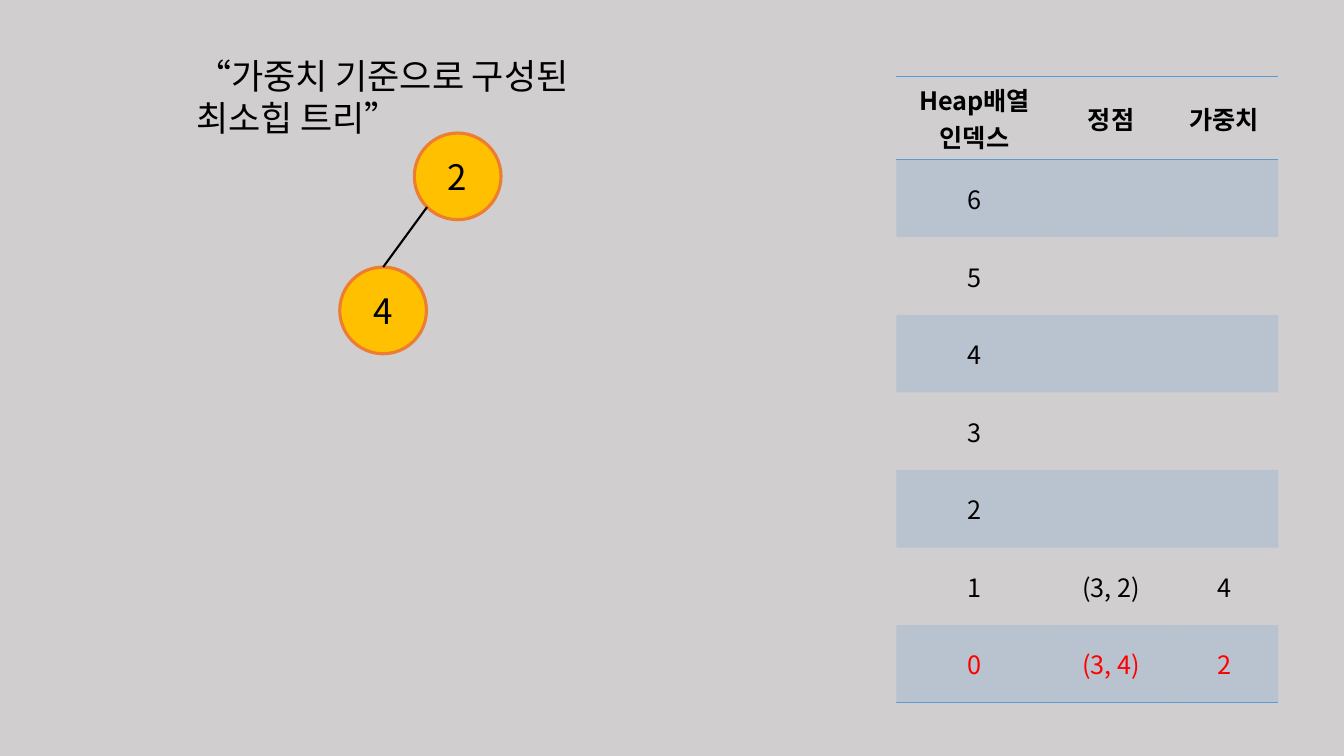
from dataclasses import dataclass
from math import sqrt

from lxml import etree
from pptx import Presentation
from pptx.dml.color import RGBColor
from pptx.enum.shapes import MSO_CONNECTOR, MSO_SHAPE
from pptx.enum.text import MSO_ANCHOR, PP_ALIGN
from pptx.oxml.ns import qn
from pptx.util import Inches, Pt

CENTER, LEFT = PP_ALIGN.CENTER, PP_ALIGN.LEFT
MIDDLE = MSO_ANCHOR.MIDDLE
OVAL, STRAIGHT = MSO_SHAPE.OVAL, MSO_CONNECTOR.STRAIGHT
PLAIN_TABLE = "{2D5ABB26-0587-4C30-8999-92F81FD0307C}"


@dataclass(frozen=True)
class Theme:
    font: str = "Noto Sans CJK KR"
    background: str = "D0CECE"
    text: str = "000000"
    highlight: str = "FF0000"
    table: str = "5B9BD5"
    node: str = "FFC000"
    node_line: str = "ED7D31"
    large: int = 25
    body: int = 18


THEME = Theme()
NODE_SIZE = 0.86
COLUMNS = [1.55, 1.16, 1.08]
HEADER_HEIGHT, ROW_HEIGHT = 0.72, 0.77
HEADER = ["Heap배열\n인덱스", "정점", "가중치"]
HEAP = {1: ["(3, 2)", "4"], 0: ["(3, 4)", "2"]}
ROWS = [HEADER] + [[str(i)] + HEAP.get(i, ["", ""]) for i in range(6, -1, -1)]


def rgb(color):
    return RGBColor.from_string(color)


def add_text(tf, text, size, align=CENTER, color=THEME.text, bold=False):
    for i, line in enumerate(text.split("\n")):
        p = tf.paragraphs[0] if i == 0 else tf.add_paragraph()
        p.alignment = align
        r = p.add_run()
        r.text = line
        r.font.name, r.font.size, r.font.bold = THEME.font, Pt(size), bold
        r.font.color.rgb = rgb(color)
        # East Asian text takes its own font setting
        ea = etree.SubElement(r.font._element, qn("a:ea"))
        ea.set("typeface", THEME.font)


def add_border(cell, side):
    ln = etree.SubElement(cell._tc.get_or_add_tcPr(), qn(f"a:{side}"), w=str(Pt(1)))
    fill = etree.SubElement(ln, qn("a:solidFill"))
    etree.SubElement(fill, qn("a:srgbClr"), val=THEME.table)


def fill_band(cell):
    cell.fill.solid()
    cell.fill.fore_color.rgb = rgb(THEME.table)
    color = cell._tc.tcPr.find(qn("a:solidFill")).find(qn("a:srgbClr"))
    etree.SubElement(color, qn("a:alpha"), val="20000")


def add_heap_table(s, x, y):
    height = HEADER_HEIGHT + ROW_HEIGHT * (len(ROWS) - 1)
    frame = s.shapes.add_table(len(ROWS), len(COLUMNS), Inches(x), Inches(y),
                               Inches(sum(COLUMNS)), Inches(height))
    table = frame.table
    table._tbl.tblPr.find(qn("a:tableStyleId")).text = PLAIN_TABLE
    table.horz_banding = False
    for column, width in zip(table.columns, COLUMNS):
        column.width = Inches(width)
    last = len(ROWS) - 1
    for i, values in enumerate(ROWS):
        table.rows[i].height = Inches(ROW_HEIGHT if i else HEADER_HEIGHT)
        for j, value in enumerate(values):
            cell = table.cell(i, j)
            cell.vertical_anchor = MIDDLE
            # Rules above and below the header and under the last row
            if i == 0:
                add_border(cell, "lnT")
            if i in (0, last):
                add_border(cell, "lnB")
            if i % 2:
                fill_band(cell)
            else:
                cell.fill.background()
            if value:
                color = THEME.highlight if i == last else THEME.text
                add_text(cell.text_frame, value, THEME.body, color=color, bold=i == 0)


def add_caption(s, text, x, y, w, h):
    tf = s.shapes.add_textbox(Inches(x), Inches(y), Inches(w), Inches(h)).text_frame
    tf.word_wrap = True
    add_text(tf, text, THEME.large, align=LEFT)


def add_node(s, label, x, y):
    sp = s.shapes.add_shape(OVAL, Inches(x), Inches(y), Inches(NODE_SIZE), Inches(NODE_SIZE))
    sp.shadow.inherit = False
    sp.fill.solid()
    sp.fill.fore_color.rgb = rgb(THEME.node)
    sp.line.color.rgb = rgb(THEME.node_line)
    sp.line.width = Pt(2.25)
    sp.text_frame.vertical_anchor = MIDDLE
    add_text(sp.text_frame, label, THEME.large)
    return sp


def add_left_edge(s, parent, child):
    # Lower left of the parent circle to the top of the child
    radius = parent.width / 2
    x = int(parent.left + radius - radius / sqrt(2))
    y = int(parent.top + radius + radius / sqrt(2))
    edge = s.shapes.add_connector(STRAIGHT, x, y, child.left + child.width // 2, child.top)
    edge.end_connect(child, 0)
    edge.line.color.rgb = rgb(THEME.text)
    edge.line.width = Pt(1.5)
    etree.SubElement(edge._element.spPr, qn("a:effectLst"))


def main():
    prs = Presentation()
    prs.slide_width, prs.slide_height = Inches(13.33), Inches(7.5)
    s = prs.slides.add_slide(prs.slide_layouts[6])
    s.background.fill.solid()
    s.background.fill.fore_color.rgb = rgb(THEME.background)

    # Heap array
    add_heap_table(s, 8.89, 0.76)

    # Heap tree
    add_caption(s, "“가중치 기준으로 구성된 최소힙 트리”", 1.85, 0.49, 4.76, 0.52)
    root = add_node(s, "2", 4.11, 1.32)
    child = add_node(s, "4", 3.37, 2.65)
    add_left_edge(s, root, child)

    prs.save("out.pptx")


if __name__ == "__main__":
    main()
